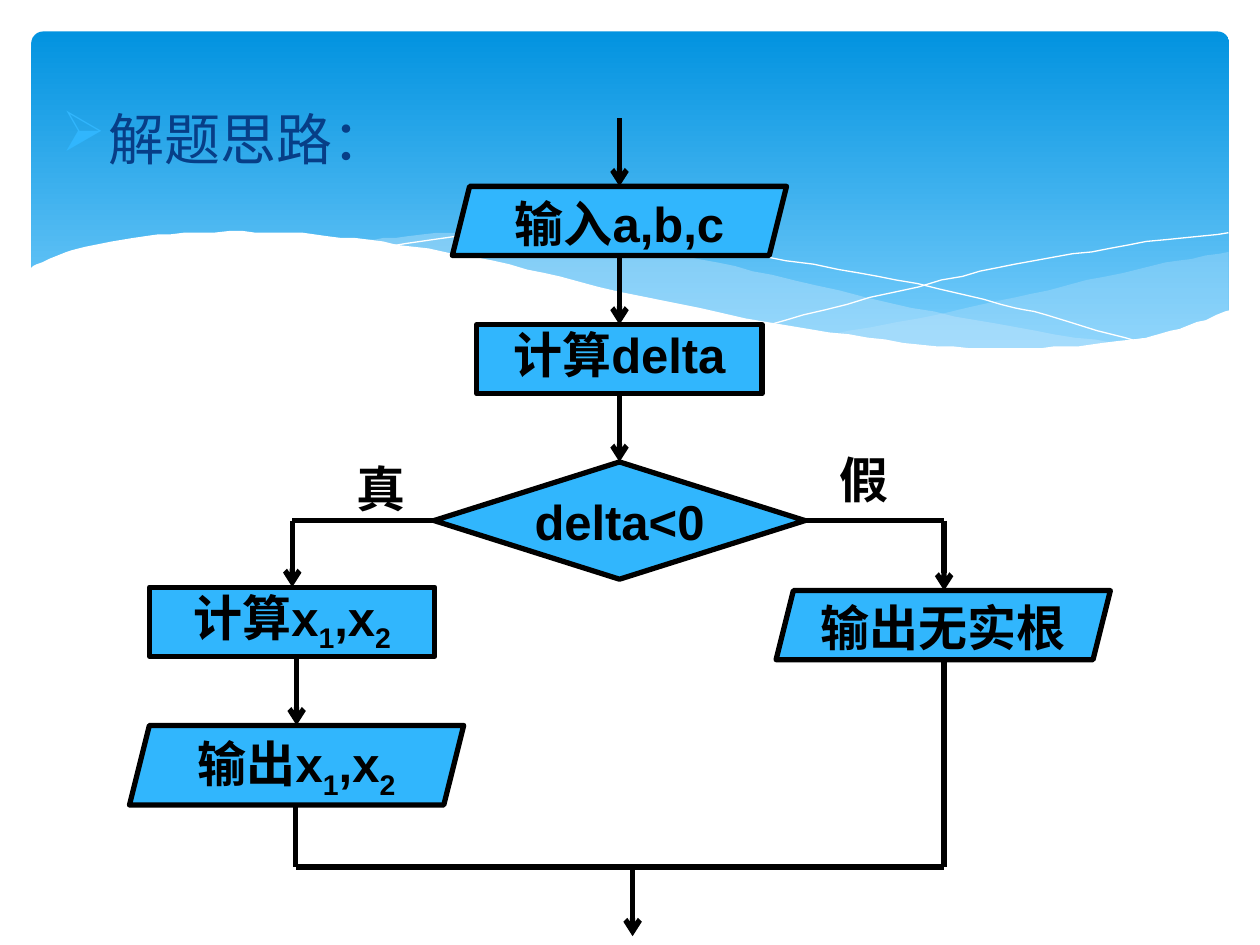
import dataclasses

import pptx
import pptx.dml.color
import pptx.enum.shapes
import pptx.enum.text
import pptx.oxml
import pptx.oxml.ns
import pptx.util
from lxml import etree

Pt = pptx.util.Pt
ShapeType = pptx.enum.shapes.MSO_SHAPE
Align = pptx.enum.text.PP_ALIGN
Anchor = pptx.enum.text.MSO_ANCHOR
qn = pptx.oxml.ns.qn


@dataclasses.dataclass(frozen=True)
class Theme:
    node: str = "31B6FD"
    ink: str = "000000"
    title: str = "073E87"
    banner_top: str = "0293E0"
    banner_bottom: str = "83D3FE"
    wave: str = "C6E7FC"
    paper: str = "FFFFFF"
    title_size: int = 32
    text_size: int = 28
    stroke: int = 3
    title_font: str = "DejaVu Sans"
    text_font: str = "Arial"


def rgb(value):
    return pptx.dml.color.RGBColor.from_string(value)


def smooth(points, steps=4):
    padded = [points[0], *points, points[-1]]
    curve = []
    for a, b, c, d in zip(padded, padded[1:], padded[2:], padded[3:]):
        for step in range(steps):
            t = step / steps
            curve.append(tuple(
                q + t * ((r - p) + t * ((2 * p - 5 * q + 4 * r - s) + t * (3 * q - p - 3 * r + s))) / 2
                for p, q, r, s in zip(a, b, c, d)))
    return curve + [points[-1]]


class FlowchartSlide:
    def __init__(self, presentation, theme):
        self.theme = theme
        self.slide = presentation.slides.add_slide(presentation.slide_layouts[5])
        self.shapes = self.slide.shapes

    def format_run(self, run, size, color, font, bold):
        run.font.size = Pt(size)
        run.font.name = font
        run.font.bold = bold
        run.font.color.rgb = rgb(color)

    def format_text(self, run):
        self.format_run(run, self.theme.text_size, self.theme.ink, self.theme.text_font, True)

    def banner(self, left, top, width, height):
        shape = self.shapes.add_shape(ShapeType.ROUNDED_RECTANGLE, Pt(left), Pt(top), Pt(width), Pt(height))
        shape.adjustments[0] = 0.034
        shape.shadow.inherit = False
        shape.line.fill.background()
        shape.fill.gradient()
        shape.fill.gradient_angle = 270
        for stop, color in zip(shape.fill.gradient_stops, (self.theme.banner_top, self.theme.banner_bottom)):
            stop.color.rgb = rgb(color)

    def outline(self, points, close):
        builder = self.shapes.build_freeform(*points[0], scale=Pt(1))
        builder.add_line_segments(points[1:], close=close)
        shape = builder.convert_to_shape()
        shape.shadow.inherit = False
        return shape

    def wave(self, points, color, opacity=100):
        shape = self.outline(points, True)
        shape.line.fill.background()
        shape.fill.solid()
        shape.fill.fore_color.rgb = rgb(color)
        if opacity < 100:
            color_element = shape.element.spPr.find(qn("a:solidFill"))[0]
            etree.SubElement(color_element, qn("a:alpha"), val=str(opacity * 1000))

    def hairline(self, points):
        shape = self.outline(smooth(points), False)
        shape.fill.background()
        shape.line.color.rgb = rgb(self.theme.paper)
        shape.line.width = Pt(0)

    def title(self, text, left, top, width, height):
        shape = self.shapes.title
        shape.left, shape.top, shape.width, shape.height = Pt(left), Pt(top), Pt(width), Pt(height)
        shape.element.getparent().append(shape.element)
        shape.text_frame.text = text
        shape.text_frame.word_wrap = True
        shape.text_frame.vertical_anchor = Anchor.TOP
        paragraph = shape.text_frame.paragraphs[0]
        paragraph.alignment = Align.LEFT
        properties = paragraph._p.get_or_add_pPr()
        properties.set("marL", str(Pt(27)))
        properties.set("indent", str(-Pt(27)))
        bullet_color = etree.SubElement(properties, qn("a:buClr"))
        etree.SubElement(bullet_color, qn("a:srgbClr"), val=self.theme.node)
        etree.SubElement(properties, qn("a:buChar"), char="➢")
        self.format_run(paragraph.runs[0], self.theme.title_size, self.theme.title, self.theme.title_font, False)

    def node(self, kind, pieces, left, top, width, height):
        shape = self.shapes.add_shape(kind, Pt(left), Pt(top), Pt(width), Pt(height))
        shape.shadow.inherit = False
        shape.fill.solid()
        shape.fill.fore_color.rgb = rgb(self.theme.node)
        shape.line.color.rgb = rgb(self.theme.ink)
        shape.line.width = Pt(self.theme.stroke)
        frame = shape.text_frame
        frame.margin_left = frame.margin_top = frame.margin_right = frame.margin_bottom = 0
        frame.word_wrap = False
        frame.vertical_anchor = Anchor.TOP
        paragraph = frame.paragraphs[0]
        paragraph.alignment = Align.CENTER
        for index, piece in enumerate(pieces):
            run = paragraph.add_run()
            run.text = piece
            self.format_text(run)
            if index % 2:
                run.font._element.set("baseline", "-25000")
        return shape

    def label(self, text, left, top):
        shape = self.shapes.add_textbox(Pt(left), Pt(top), Pt(39.5), Pt(41))
        shape.text_frame.word_wrap = True
        shape.text_frame.text = text
        self.format_text(shape.text_frame.paragraphs[0].runs[0])

    def line(self, start, end, arrow=False, begin=None, finish=None):
        connector = self.shapes.add_connector(
            pptx.enum.shapes.MSO_CONNECTOR.STRAIGHT, *map(Pt, start), *map(Pt, end))
        if begin:
            connector.begin_connect(*begin)
        if finish:
            connector.end_connect(*finish)
        connector.line.color.rgb = rgb(self.theme.ink)
        connector.line.width = Pt(self.theme.stroke)
        properties = connector.element.spPr
        if arrow:
            etree.SubElement(properties.get_or_add_ln(), qn("a:tailEnd"), type="arrow")
        etree.SubElement(properties, qn("a:effectLst"))


def draw_background(page):
    theme = page.theme
    page.banner(18, 18, 684.5, 194.5)
    page.wave(
        smooth([(702, 144), (673, 149), (641.5, 155.5), (599, 165.5), (561, 174), (525, 182), (476, 191)])
        + smooth([(476, 191), (507.5, 195), (536.5, 198), (578, 200), (615, 198.5), (646, 194.5),
                  (673, 188.5), (702, 178)]), theme.wave, 29)
    page.wave(
        smooth([(643, 196.5), (602.5, 191), (558, 183), (508.5, 173), (453, 160), (409.5, 150), (370, 142.5),
                (334, 137.5), (302.5, 134.5), (260, 133), (225.5, 135.5), (206, 137.5)])
        + smooth([(206, 137.5), (246, 143.5), (291, 152), (323.5, 160), (381.5, 173), (432.5, 183.5),
                  (479, 191.5), (520, 197), (556.5, 200), (589, 201), (617, 199.5), (643, 196.5)]),
        theme.wave, 40)
    page.hairline([(222.5, 140.5), (247, 137), (278.5, 134.5), (324, 135.5), (367, 138), (419, 144),
                   (479, 153.5), (523.5, 162.5), (572.5, 174), (598.5, 180.5), (653, 196)])
    page.hairline([(441.5, 185), (484, 173.5), (538.5, 160.5), (580.5, 151), (623.5, 143.5),
                   (665.5, 137), (702, 133)])
    page.wave(
        smooth([(703.5, 177), (684, 184.5), (662.5, 191), (630, 196.5), (602.5, 198.5), (571, 199),
                (535.5, 197.5), (495.5, 193), (450.5, 186), (399.5, 176.5), (342, 163.5), (301, 153.5),
                (263, 145.5), (227, 139.5), (195, 135.5), (165.5, 133), (139, 132.5), (105, 133),
                (76.5, 136), (54, 140.5), (37.5, 144.5), (21, 151), (16.5, 153.5)])
        + [(16.5, 237), (703.5, 237)], theme.paper)


def draw_flowchart(page):
    data, process = ShapeType.PARALLELOGRAM, ShapeType.FLOWCHART_PROCESS
    roots = ["x", "1", ",x", "2"]
    page.node(data, ["输入a,b,c"], 258.5, 106.5, 191, 39.5)
    delta = page.node(process, ["计算delta"], 272.5, 185.5, 163, 39.5)
    decision = page.node(ShapeType.FLOWCHART_DECISION, ["delta<0"], 248, 264, 212, 67)
    solve = page.node(process, ["计算" + roots[0], *roots[1:]], 85.5, 335.5, 163, 39.5)
    page.node(data, ["输出无实根"], 443.5, 337.5, 191, 39.5)
    page.node(data, ["输出" + roots[0], *roots[1:]], 74, 414.5, 191, 45.5)

    page.line((354, 67.5), (354, 106.5), True)
    page.line((354, 146), (354, 185.5), True, finish=(delta, 0))
    page.line((354, 225), (354, 264), True, begin=(delta, 2), finish=(decision, 0))
    page.line((167, 297.5), (248, 297.5), finish=(decision, 1))
    page.line((460, 297.5), (539.5, 297.5), begin=(decision, 3))
    page.line((167, 297.5), (167, 335.5), True, finish=(solve, 0))
    page.line((539.5, 297.5), (539.5, 337.5), True)
    page.line((169.5, 375), (169.5, 414.5), True)
    page.line((169, 460), (169, 495.5))
    page.line((539.5, 377), (539.5, 495.5))
    page.line((169, 495.5), (539.5, 495.5))
    page.line((361.5, 495.5), (361.5, 535), True)
    page.label("真", 196.5, 258.5)
    page.label("假", 472.5, 253.5)


def main():
    presentation = pptx.Presentation()
    presentation.slide_width, presentation.slide_height = Pt(720), Pt(540)
    page = FlowchartSlide(presentation, Theme())
    draw_background(page)
    page.title("解题思路：", 28, 56, 214, 62)
    draw_flowchart(page)
    presentation.save("out.pptx")


if __name__ == "__main__":
    main()
